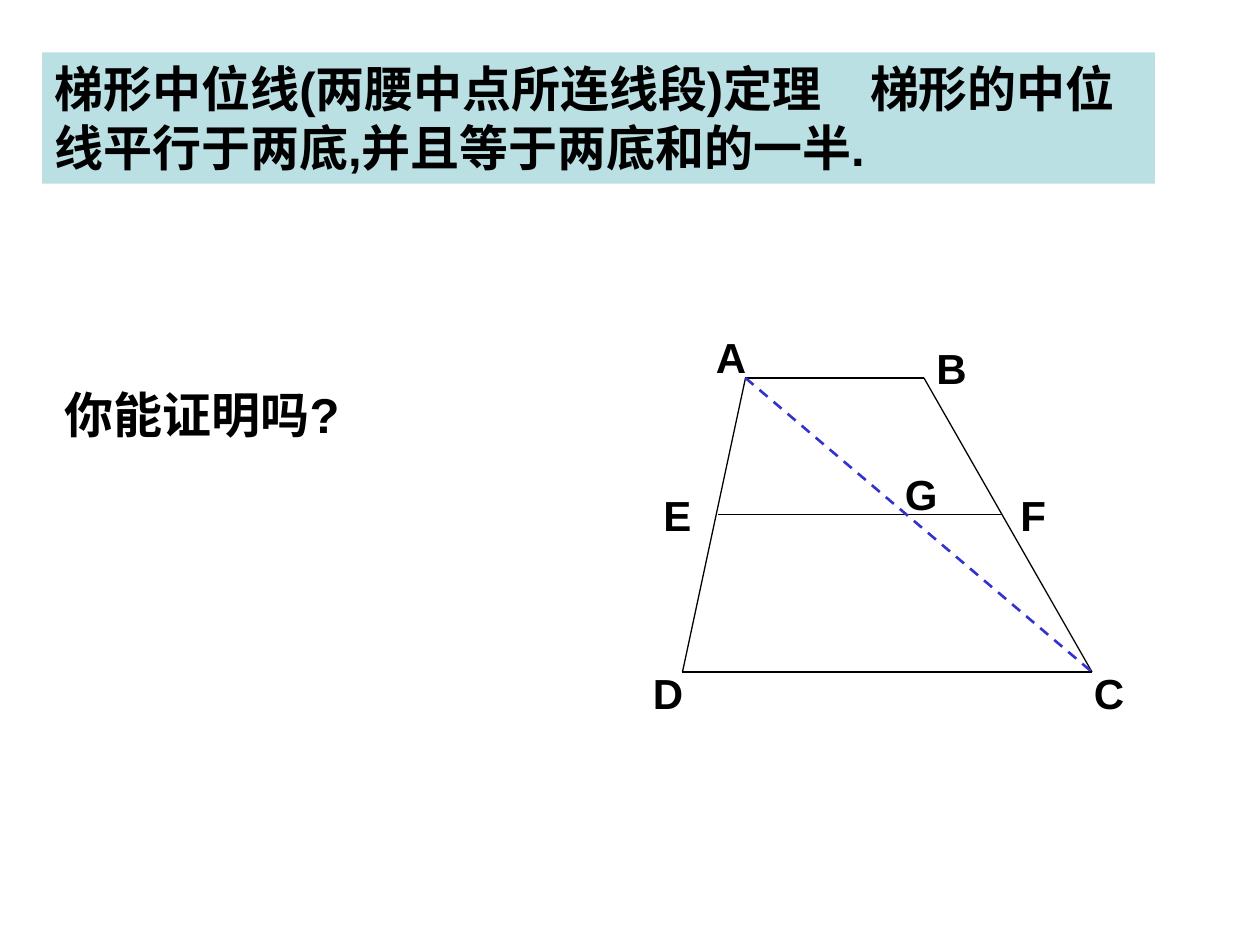
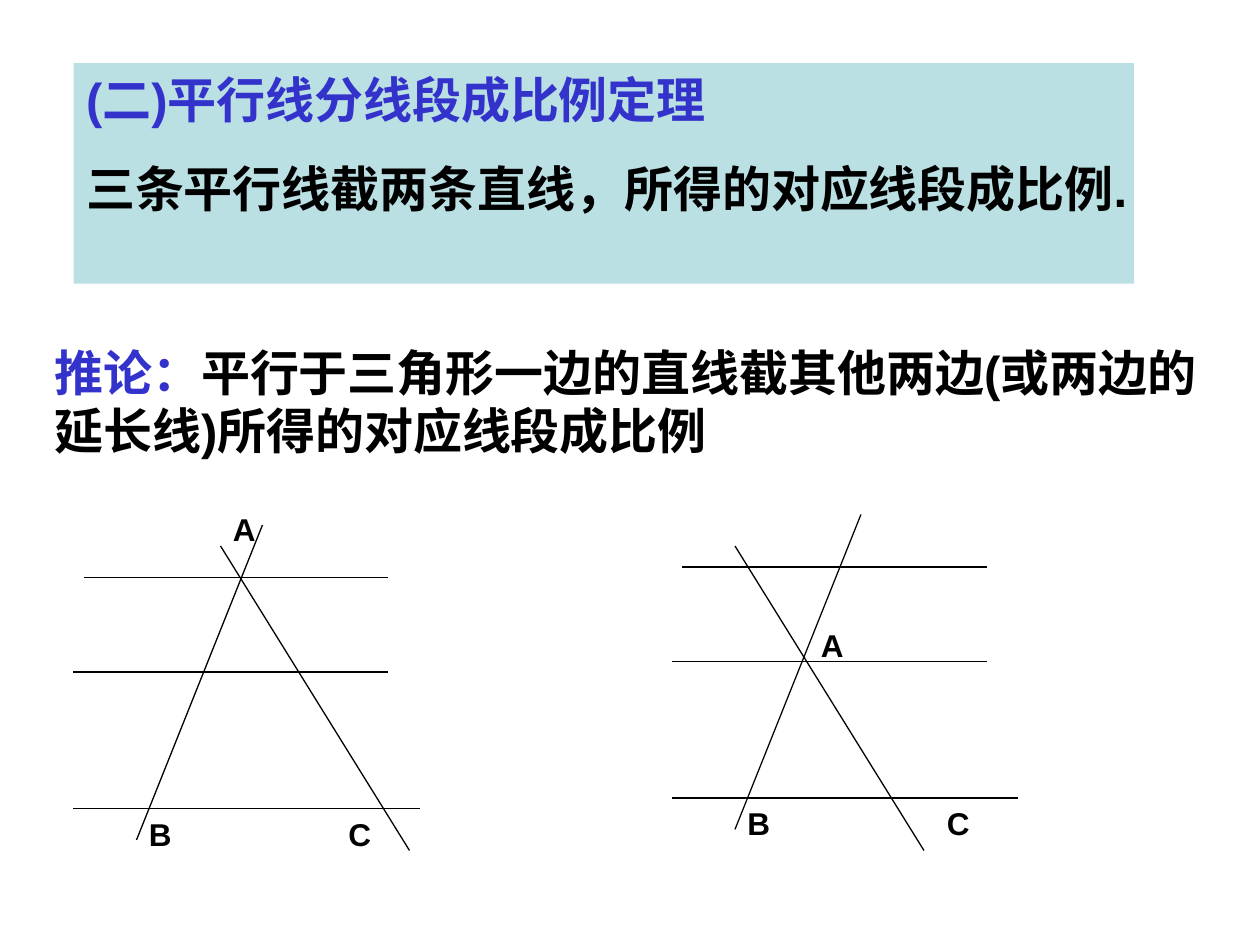
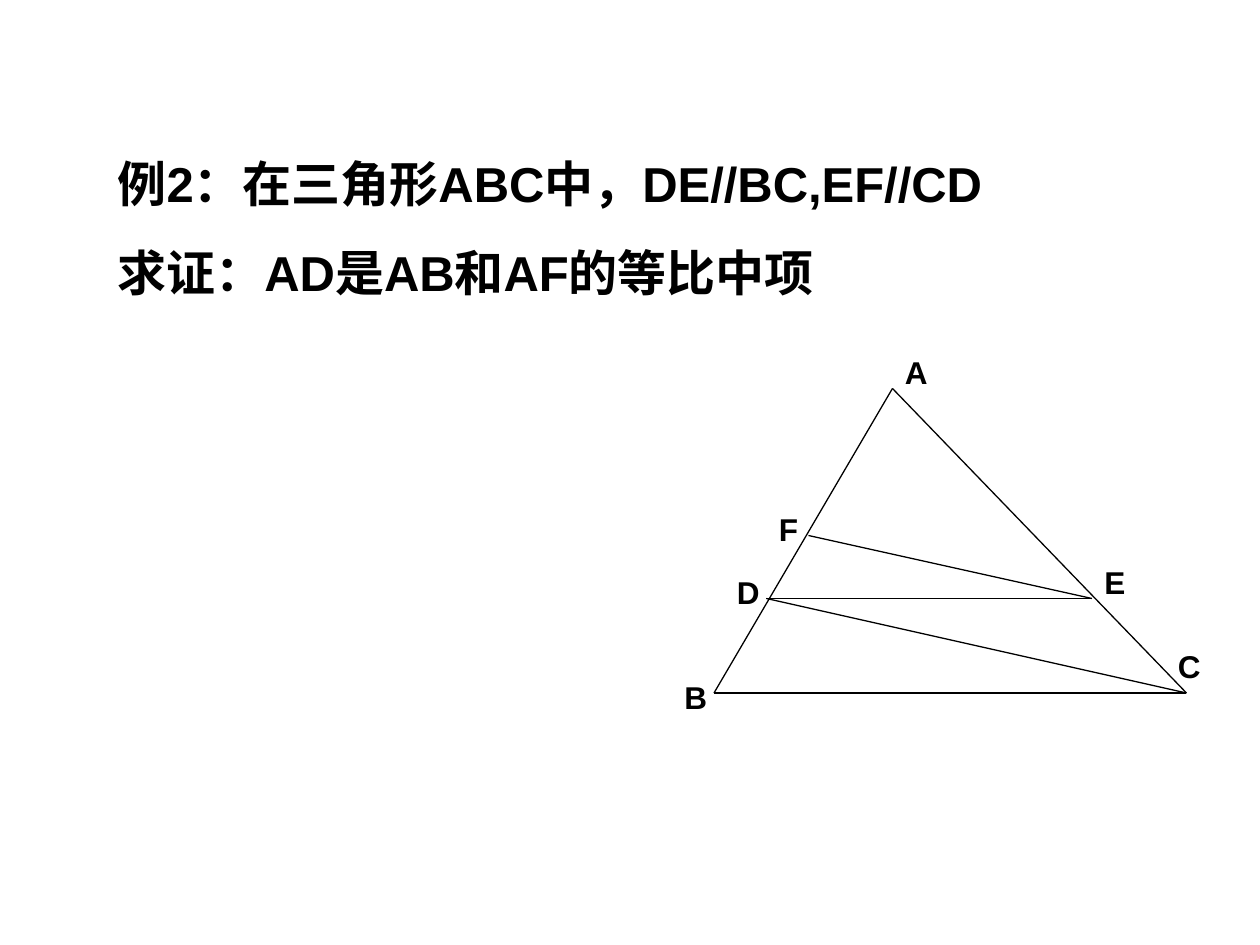
from dataclasses import dataclass

from lxml import etree
from pptx import Presentation
from pptx.dml.color import RGBColor
from pptx.enum.dml import MSO_LINE
from pptx.enum.text import MSO_ANCHOR, MSO_AUTO_SIZE, PP_ALIGN
from pptx.oxml.ns import qn
from pptx.util import Inches, Pt

DASH = MSO_LINE.DASH
TOP = MSO_ANCHOR.TOP
GROW = MSO_AUTO_SIZE.SHAPE_TO_FIT_TEXT
LEFT = PP_ALIGN.LEFT

# The slide is a grid of 120 columns by 90 rows
COLS, ROWS = 120, 90
CELL = Inches(10) // COLS
TITLE_ONLY = 5


@dataclass(frozen=True)
class Theme:
    font: str = "Arial"
    ink: RGBColor = RGBColor(0x00, 0x00, 0x00)
    accent: RGBColor = RGBColor(0x33, 0x33, 0xCC)
    band: RGBColor = RGBColor(0xBB, 0xE0, 0xE3)
    text: float = 28
    big_label: float = 24
    small_label: float = 18
    gap: float = 17.5
    thin: float = 0.75
    thick: float = 1.5


T = Theme()


def cells(*values):
    return [round(v * CELL) for v in values]


# Text
def write(shape, paragraphs, size=T.text):
    """Each paragraph is a list of (text, colour) runs."""
    tf = shape.text_frame
    tf.word_wrap = True
    tf.vertical_anchor = TOP
    tf.auto_size = GROW
    for i, runs in enumerate(paragraphs):
        p = tf.add_paragraph() if i else tf.paragraphs[0]
        p.alignment = LEFT
        p.space_before = Pt(T.gap if i else 0)
        for text, color in runs:
            r = p.add_run()
            r.text = text
            r.font.name = T.font
            r.font.size = Pt(size)
            r.font.bold = True
            r.font.color.rgb = color


def add_text(shapes, box, paragraphs, size=T.text):
    write(shapes.add_textbox(*cells(*box)), paragraphs, size)


def add_title(s, box, paragraphs, fill=None):
    title = s.shapes.title
    title.left, title.top, title.width, title.height = cells(*box)
    if fill is not None:
        title.fill.solid()
        title.fill.fore_color.rgb = fill
    write(title, paragraphs)


# Figures
def add_line(shapes, start, end, color=T.ink, width=T.thin, dash=None):
    line = shapes.add_connector(1, *cells(*start, *end))
    line.line.color.rgb = color
    line.line.width = Pt(width)
    if dash is not None:
        line.line.dash_style = dash
    etree.SubElement(line._element.spPr, qn("a:effectLst"))


def add_segments(shapes, points, names):
    """Draw a line for each pair of point names, such as "AB"."""
    for start, end in names.split():
        add_line(shapes, points[start], points[end])


def add_labels(shapes, places, width, height, size):
    for name, (x, y) in places.items():
        box = (x, y, min(width, COLS - x), height)
        add_text(shapes, box, [[(name, T.ink)]], size)


def add_figure(s):
    return s.shapes.add_group_shape().shapes


def add_parallels(s, x, y, crossing, apex):
    """Three parallels and two transversals; crossing starts the second one."""
    fig = add_figure(s)
    for left, right, row in ((1, 30, 5), (0, 30, 14), (0, 33, 27)):
        add_line(fig, (x + left, y + row), (x + right, y + row))
    add_line(fig, (x + 18, y), (x + 6, y + 30))
    cx, cy = crossing
    add_line(fig, crossing, (cx + 18, cy + 29))
    labels = {"A": apex, "B": (x + 6, y + 27), "C": (x + 25, y + 27)}
    add_labels(fig, labels, 7.2, 4.8, T.small_label)


# Slides
def midline_slide(s):
    add_title(s, (4, 5, 106, 12.5), [[
        ("梯形中位线(两腰中点所连线段)定理　梯形的中位线平行于两底,并且等于两底和的一半.", T.ink),
    ]], T.band)
    points = {"A": (71, 36), "B": (88, 36), "C": (104, 64),
              "D": (65, 64), "E": (68.4, 49), "F": (95.4, 49)}
    labels = {"A": (67, 31), "B": (88, 32), "C": (103, 63),
              "D": (61, 63), "E": (62, 46), "F": (96, 46)}
    trapezoid = add_figure(s)
    add_segments(trapezoid, points, "AD AB DC BC EF")
    add_labels(trapezoid, labels, 6, 6, T.big_label)
    add_text(s.shapes, (5, 36, 39, 6.8), [[("你能证明吗?", T.ink)]])
    add_line(s.shapes, points["A"], points["C"], T.accent, T.thick, DASH)
    add_labels(s.shapes, {"G": (85, 44)}, 6, 6, T.big_label)


def proportion_slide(s):
    add_title(s, (7, 6, 101, 21), [
        [("(二)平行线分线段成比例定理", T.accent)],
        [("三条平行线截两条直线，所得的对应线段成比例.", T.ink)],
    ], T.band)
    add_text(s.shapes, (4, 32, 113, 12.5), [[
        ("推论：", T.accent),
        ("平行于三角形一边的直线截其他两边(或两边的延长线)所得的对应线段成比例", T.ink),
    ]])
    add_parallels(s, 7, 50, crossing=(21, 52), apex=(21, 48))
    add_parallels(s, 64, 49, crossing=(70, 52), apex=(77, 59))


def example_slide(s):
    add_title(s, (10, 14, 98, 15.4), [
        [("例2：在三角形ABC中，DE//BC,EF//CD", T.ink)],
        [("求证：AD是AB和AF的等比中项", T.ink)],
    ])
    points = {"A": (85, 37), "B": (68, 66), "C": (113, 66),
              "D": (73, 57), "E": (104, 57), "F": (77, 51)}
    labels = {"A": (85, 33), "B": (64, 64), "C": (111, 61),
              "D": (69, 54), "E": (104, 53), "F": (73, 48)}
    triangle = add_figure(s)
    add_segments(triangle, points, "AB BC AC DE DC FE")
    add_labels(triangle, labels, 14, 4.8, T.small_label)


def main():
    prs = Presentation()
    prs.slide_width, prs.slide_height = cells(COLS, ROWS)
    for build in (midline_slide, proportion_slide, example_slide):
        build(prs.slides.add_slide(prs.slide_layouts[TITLE_ONLY]))
    prs.save("out.pptx")


if __name__ == "__main__":
    main()
